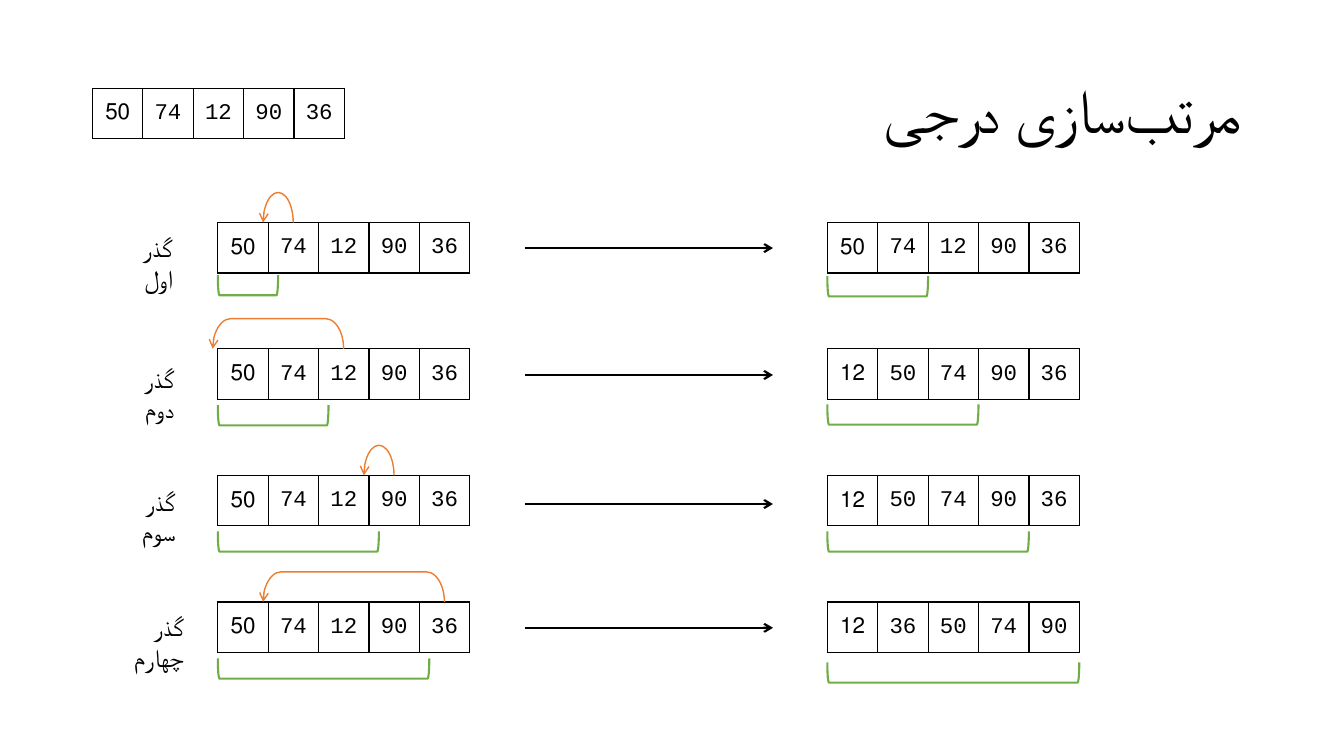
"""Builds the slide that shows the four passes of insertion sort."""
from dataclasses import dataclass

from lxml import etree
from pptx import Presentation
from pptx import util as u
from pptx.dml.color import RGBColor
from pptx.enum import shapes, text
from pptx.oxml.ns import qn

COLORS = {"ink": "000000", "sorted": "70AD47", "move": "ED7D31"}
CELL = 1.27
BEFORE_X, AFTER_X = 5.49, 20.85
START = (50, 74, 12, 90, 36)
HALF_SPACE = chr(0x200C)


@dataclass(frozen=True)
class Pass:
    """One pass of the sort; lengths are in centimetres."""
    name: str
    name_x: float
    name_y: float
    name_width: float
    row_y: float
    arrow_y: float
    before_bracket_y: float
    after_bracket_y: float
    move_span: float
    result: tuple[int, ...]


PASSES = (
    Pass("گذر اول", 2.57, 5.74, 2.03, 5.61, 6.25, 6.93, 6.96, 0.76, START),
    Pass("گذر دوم", 2.51, 9.02, 2.13, 8.79, 9.45, 10.21, 10.19, 3.3, (12, 50, 74, 90, 36)),
    Pass("گذر سوم", 2.46, 12.12, 2.21, 11.98, 12.7, 13.39, 13.39, 0.76, (12, 50, 74, 90, 36)),
    Pass("گذر چهارم", 2.31, 15.29, 2.57, 15.17, 15.82, 16.59, 16.69, 4.57, (12, 36, 50, 74, 90)),
)


def rgb(key: str) -> RGBColor:
    """Return a palette colour."""
    return RGBColor.from_string(COLORS[key])


def add_run(paragraph, words: str, size: float, font: str):
    """Add a formatted run and return it."""
    run = paragraph.add_run()
    run.text = words
    run.font.size = u.Pt(size)
    run.font.color.rgb = rgb("ink")
    run.font.name = font
    return run


def add_persian(paragraph, words: str, size: float) -> None:
    """Write right-to-left text."""
    paragraph.alignment = text.PP_ALIGN.RIGHT
    paragraph._p.get_or_add_pPr().set("rtl", "1")
    run = add_run(paragraph, words, size, "Lato")
    etree.SubElement(run._r.get_or_add_rPr(), qn("a:cs"), typeface="Lato")


def border_cell(cell) -> None:
    """Draw a thin line on each side of a cell."""
    properties = cell._tc.get_or_add_tcPr()
    for side in ("a:lnL", "a:lnR", "a:lnT", "a:lnB"):
        border = etree.SubElement(properties, qn(side), w=str(u.Pt(1)))
        fill = etree.SubElement(border, qn("a:solidFill"))
        etree.SubElement(fill, qn("a:srgbClr"), val=COLORS["ink"])


def add_array(slide, x: float, y: float, numbers: tuple[int, ...]) -> None:
    """Draw an array as a table of one row."""
    array = slide.shapes.add_table(
        1, len(numbers), u.Cm(x), u.Cm(y), u.Cm(CELL * len(numbers)), u.Cm(CELL)).table
    array.first_row = array.horz_banding = False
    for index, number in enumerate(numbers):
        cell = array.cell(0, index)
        border_cell(cell)
        cell.fill.background()
        cell.vertical_anchor = text.MSO_ANCHOR.MIDDLE
        paragraph = cell.text_frame.paragraphs[0]
        paragraph.alignment = text.PP_ALIGN.CENTER
        if index == 0:
            paragraph._p.get_or_add_pPr().set("rtl", "1")
        add_run(paragraph, str(number), 16, "Courier New")


def add_arrowhead(line, end: str) -> None:
    """Put an open arrowhead on one end of a line."""
    etree.SubElement(line._get_or_add_ln(), qn(end), type="arrow")


def add_bracket(slide, x: float, y: float, span: float, depth: float,
                color: str, width: float, rotation: int):
    """Draw a turned bracket whose visible box starts at x, y."""
    shift = (span - depth) / 2
    bracket = slide.shapes.add_shape(
        shapes.MSO_SHAPE.LEFT_BRACKET, u.Cm(x + shift), u.Cm(y - shift), u.Cm(depth), u.Cm(span))
    bracket.rotation = rotation
    bracket.shadow.inherit = False
    bracket.fill.background()
    bracket.line.color.rgb = rgb(color)
    bracket.line.width = u.Pt(width)
    return bracket


def add_sorted_bracket(slide, x: float, y: float, span: float) -> None:
    """Mark the sorted part below an array."""
    add_bracket(slide, x, y, span, 0.51, "sorted", 1.5, 270)


def add_move(slide, right: float, y: float, span: float) -> None:
    """Show where a number is inserted."""
    move = add_bracket(slide, right - span, y, span, 0.76, "move", 1, 90)
    move.adjustments[0] = 0.6
    add_arrowhead(move.line, "a:headEnd")


def add_arrow(slide, y: float) -> None:
    """Draw the arrow from an array to its result."""
    arrow = slide.shapes.add_connector(
        shapes.MSO_CONNECTOR.STRAIGHT, u.Cm(13.23), u.Cm(y), u.Cm(19.48), u.Cm(y))
    arrow.line.color.rgb = rgb("ink")
    arrow.line.width = u.Pt(1.5)
    add_arrowhead(arrow.line, "a:tailEnd")
    etree.SubElement(arrow._element.spPr, qn("a:effectLst"))


def add_pass(slide, index: int, step: Pass) -> None:
    """Draw one pass with its name, arrays and marks."""
    name = slide.shapes.add_textbox(
        u.Cm(step.name_x), u.Cm(step.name_y), u.Cm(step.name_width), u.Cm(1.02))
    name.text_frame.word_wrap = True
    add_persian(name.text_frame.paragraphs[0], step.name, 18)
    add_array(slide, BEFORE_X, step.row_y, START)
    add_array(slide, AFTER_X, step.row_y, step.result)
    add_arrow(slide, step.arrow_y)
    add_sorted_bracket(slide, BEFORE_X, step.before_bracket_y, 1.52 + CELL * index)
    add_sorted_bracket(slide, AFTER_X, step.after_bracket_y, CELL * (index + 2))
    add_move(slide, 7.39 + CELL * index, step.row_y - 0.76, step.move_span)


def main() -> None:
    """Build and save the slide."""
    deck = Presentation()
    deck.slide_width, deck.slide_height = u.Cm(33.87), u.Cm(19.05)
    slide = deck.slides.add_slide(deck.slide_layouts[5])
    title = slide.shapes.title
    title.left, title.top, title.width, title.height = u.Cm(2.33), u.Cm(1.01), u.Cm(29.21), u.Cm(3.68)
    title.text_frame.vertical_anchor = text.MSO_ANCHOR.MIDDLE
    heading = title.text_frame.paragraphs[0]
    heading.line_spacing = 0.9
    add_persian(heading, f"مرتب{HALF_SPACE}سازی درجی", 44)
    add_array(slide, 2.33, 2.22, START)
    for index, step in enumerate(PASSES):
        add_pass(slide, index, step)
    deck.save("out.pptx")


if __name__ == "__main__":
    main()
